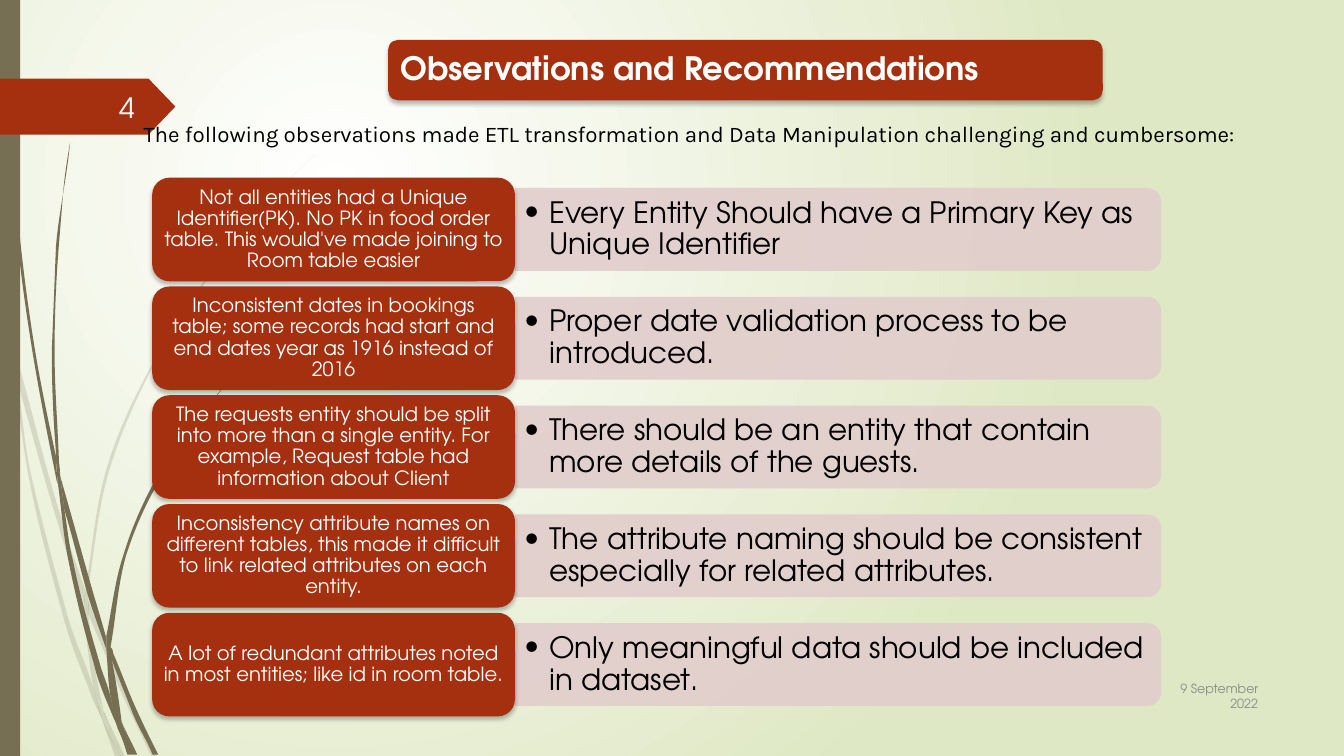
import math

import pptx
import pptx.dml.color
import pptx.enum.shapes
import pptx.enum.text
import pptx.oxml
import pptx.oxml.ns
import pptx.util

Pt = pptx.util.Pt
RGB = pptx.dml.color.RGBColor
SHAPE = pptx.enum.shapes.MSO_SHAPE
ALIGN = pptx.enum.text.PP_ALIGN
ANCHOR = pptx.enum.text.MSO_ANCHOR
qn = pptx.oxml.ns.qn
NS = pptx.oxml.ns.nsdecls("a", "p")

RUST = RGB(0xA5, 0x30, 0x10)
ROSE = RGB(0xE1, 0xCD, 0xCC)
OLIVE = RGB(0x76, 0x6F, 0x54)
WHITE = RGB(0xFF, 0xFF, 0xFF)
BLACK = RGB(0, 0, 0)
GREY = RGB(0x8C, 0x8C, 0x8C)
HEAD_FONT, INTRO_FONT = "TeX Gyre Adventor", "Karla"

# Content
TITLE = "Observations and Recommendations"
INTRO = ("The following observations made ETL transformation and "
         "Data Manipulation challenging and cumbersome:")
DATE, NUMBER = "9 September 2022", "4"
ROWS = [
    ("Not all entities had a Unique Identifier(PK). No PK in food order table. "
     "This would've made joining to Room table easier",
     "Every Entity Should have a Primary Key as Unique Identifier"),
    ("Inconsistent dates in bookings table; some records had start and end dates "
     "year as 1916 instead of 2016",
     "Proper date validation process to be introduced."),
    ("The requests entity should be split into more than a single entity. "
     "For example, Request table had information about Client",
     "There should be an entity that contain more details of the guests."),
    ("Inconsistency attribute names on different tables, this made it difficult "
     "to link related attributes on each entity.",
     "The attribute naming should be consistent especially for related attributes."),
    ("A lot of redundant attributes noted in most entities; like id in room table.",
     "Only meaningful data should be included in dataset."),
]

# Grass blades: the points along one edge, then back along the other
PALE_BLADES = [
    ([(7.9, 252), (6.5, 231.8), (0, 203)], [(0, 215.3), (7.2, 247.7), (7.9, 252)]),
    ([(12.2, 270.7), (41.8, 375.8), (60.5, 431.3)],
     [(61.2, 421.9), (44.6, 374.4), (10.1, 248.4)]),
    ([(63.4, 429.1), (66.2, 437), (91.4, 498.2), (111.6, 540)],
     [(108, 540), (88.6, 499.7), (63.4, 439.2)]),
    ([(75.6, 511.9), (89.3, 540)], [(85.7, 540), (75.6, 511.9)]),
    ([(7.9, 252), (12.2, 270.7), (22.3, 337.7), (50.4, 445.7), (67, 491.8), (72.7, 514.1)],
     [(72.7, 514.1), (66.2, 499), (46.8, 447.1), (20.2, 338.4), (7.9, 252)]),
    ([(60.5, 431.3), (63.4, 439.2), (65.5, 465.1), (74.2, 508.3), (75.6, 511.9)],
     [(75.6, 511.9), (67, 491.8), (62.6, 465.1), (60.5, 431.3)]),
    ([(224.6, 110.2), (193, 142.6), (164.9, 176.4), (115.2, 251.3), (79.2, 332.6),
      (63.4, 420.5), (63.4, 429.1)],
     [(61.2, 421.9), (77, 331.9), (113.8, 250.6), (164.2, 175.7), (193, 141.8),
      (224.6, 110.2)]),
    ([(72.7, 514.1), (82.1, 540)], [(85.7, 540), (72.7, 514.1)]),
    ([(61.2, 421.9), (63.4, 429.1), (63.4, 439.2)], [(63.4, 437.8), (60.5, 431.3)]),
    ([(67, 491.8), (72.7, 514.1), (85.7, 540)], [(75.6, 511.9), (69.1, 498.2)]),
]
DARK_BLADES = [
    ([(2.2, 0), (2.9, 34.6), (5, 79.2), (12.2, 167.8), (23.8, 255.6), (41, 346.3)],
     [(39.6, 326.2), (25.9, 255.6), (13.7, 167), (5.8, 78.5), (3.6, 34.6), (2.9, 0)]),
    ([(43.2, 339.8), (67, 424.8), (76.3, 455.8)],
     [(76.3, 464.4), (63.4, 426.2), (46.1, 363.6)]),
    ([(79.2, 461.5), (81.4, 467.3), (97.9, 508.3), (113, 539.3)],
     [(109.4, 539.3), (95, 509.8), (79.9, 472.3)]),
    ([(41, 343.4), (46.1, 363.6), (51.8, 400.3), (70.6, 473), (79.2, 497.5), (84.2, 519.8)],
     [(84.2, 519.8), (79.9, 509.8), (67, 474.5), (49, 401), (41, 343.4)]),
    ([(50.4, 101.5), (44.6, 139), (40.3, 176.4), (37.4, 251.3), (39.6, 323.3), (43.2, 339.8)],
     [(43.2, 339.8), (41.8, 326.2), (38.9, 251.3), (41.8, 176.4), (45.4, 139), (50.4, 101.5)]),
    ([(87.8, 517.7), (97.9, 539.3)], [(95.8, 539.3), (87.8, 517.7)]),
    ([(39.6, 323.3), (43.2, 339.8), (46.1, 363.6)], [(41, 343.4), (39.6, 326.2)]),
    ([(187.2, 247.7), (166.3, 268.6), (146.9, 291.6), (112.3, 341.3), (87.8, 396.7),
      (76.3, 454.3)],
     [(79.2, 461.5), (90, 397.4), (113.8, 342.7), (147.6, 292.3), (166.3, 269.3),
      (187.9, 247.7)]),
    ([(84.2, 519.8), (91.4, 539.3)], [(94.3, 539.3), (84.2, 519.8)]),
    ([(76.3, 464.4), (79.9, 472.3), (87.1, 515.5), (87.8, 517.7)],
     [(87.8, 517.7), (79.2, 497.5), (76.3, 464.4)]),
    ([(76.3, 454.3), (79.2, 461.5), (79.9, 472.3)], [(78.5, 468.7), (76.3, 464.4)]),
    ([(79.2, 497.5), (84.2, 519.8), (93.6, 539.3)], [(95.8, 539.3), (83.5, 508.3)]),
]

# Layout of the rows
ROW_TOP, ROW_STEP = 126.9, 77.7
BOX_LEFT, BOX_W, BOX_H = 108.7, 259.2, 74
BAR_W, BAR_H = 461.5, 59.2


def apply(obj, values):
    for name, value in values.items():
        setattr(obj, name, value)


def write(sp, text, size, color, font=HEAD_FONT, bold=False, inset=(7.2, 3.6),
          para=None, anchor=ANCHOR.MIDDLE):
    x, y = map(Pt, inset)
    tf = sp.text_frame
    apply(tf, {"word_wrap": True, "auto_size": pptx.enum.text.MSO_AUTO_SIZE.NONE,
               "vertical_anchor": anchor, "margin_left": x, "margin_right": x,
               "margin_top": y, "margin_bottom": y})
    p = tf.paragraphs[0]
    apply(p, {"alignment": ALIGN.LEFT, **(para or {})})
    r = p.add_run()
    r.text = text
    apply(r.font, {"name": font, "size": Pt(size), "bold": bold})
    r.font.color.rgb = color
    return p


def paint(sp, color, opacity=100):
    sp.shadow.inherit = False
    sp.fill.solid()
    sp.fill.fore_color.rgb = color
    sp.line.fill.background()
    if opacity < 100:
        clr = sp._element.spPr.find(qn("a:solidFill"))[0]
        clr.append(pptx.oxml.parse_xml(f'<a:alpha {NS} val="{opacity * 1000}"/>'))
    return sp


def add_shape(kind, box, color, opacity=100):
    return paint(s.shapes.add_shape(kind, *map(Pt, box)), color, opacity)


def add_text(box, *args, **kwargs):
    return write(s.shapes.add_textbox(*map(Pt, box)), *args, **kwargs)


def drop_shadow(sp):
    sp._element.spPr.find(qn("a:effectLst")).append(pptx.oxml.parse_xml(
        f'<a:outerShdw {NS} blurRad="{Pt(3)}" dist="{Pt(2)}" dir="5400000" '
        'rotWithShape="0"><a:srgbClr val="000000"><a:alpha val="25000"/>'
        '</a:srgbClr></a:outerShdw>'))
    return sp


def bezier(points):
    """Two control points and an end for each step of a smooth run."""
    ends = [points[0], *points, points[-1]]
    for a, b, c, d in zip(ends, ends[1:], ends[2:], ends[3:]):
        third = math.dist(b, c) / 3
        k1, k2 = third / (math.dist(a, c) or 1), third / (math.dist(b, d) or 1)
        yield from ([q + (w - u) * k1 for u, q, w in zip(a, b, c)],
                    [q - (w - u) * k2 for u, q, w in zip(b, c, d)], c)


def add_blade(out, back, opacity):
    outline = [*bezier(out), *bezier([out[-1], back[0]]), *bezier(back)]
    fb = s.shapes.build_freeform(*out[0], scale=Pt(1) / 1)
    fb.add_line_segments(outline, close=True)
    sp = paint(fb.convert_to_shape(), OLIVE, opacity)
    lines = list(sp._element.iter(qn("a:lnTo")))
    for trio in zip(lines[::3], lines[1::3], lines[2::3]):
        curve = pptx.oxml.parse_xml(f"<a:cubicBezTo {NS}/>")
        trio[0].addprevious(curve)
        for line in trio:
            curve.append(line[0])
            line.getparent().remove(line)


prs = pptx.Presentation()
prs.slide_width, prs.slide_height = Pt(960), Pt(540)
s = prs.slides.add_slide(prs.slide_layouts[5])

# Background: radial white to pale green
s._element.cSld.insert(0, pptx.oxml.parse_xml(
    f'<p:bg {NS}><p:bgPr><a:gradFill rotWithShape="1"><a:gsLst>'
    '<a:gs pos="0"><a:srgbClr val="FFFFFF"/></a:gs>'
    '<a:gs pos="100000"><a:srgbClr val="DFE8C4"/></a:gs></a:gsLst>'
    '<a:path path="circle"><a:fillToRect l="50000" t="50000" r="100000" b="100000"/>'
    '</a:path></a:gradFill><a:effectLst/></p:bgPr></p:bg>'))

# Left decoration and number tag
for blades, opacity in ((PALE_BLADES, 20), (DARK_BLADES, 100)):
    for out, back in blades:
        add_blade(out, back, opacity)
add_shape(SHAPE.RECTANGLE, (0, 0, 14.4, 540), OLIVE)
add_shape(SHAPE.PENTAGON, (0, 56.2, 125.3, 39.9), RUST).adjustments[0] = 0.48

# Title banner
drop_shadow(add_shape(SHAPE.ROUNDED_RECTANGLE, (277.2, 28.5, 510.5, 43.2), RUST))
title = s.shapes.title
apply(title, dict(zip(("left", "top", "width", "height"),
                      map(Pt, (278.8, 30.4, 506.2, 38.9)))))
write(title, TITLE, 23, WHITE, bold=True, inset=(7.2, 7.2), para={"line_spacing": 0.9})
s.shapes._spTree.append(title._element)

# Observation boxes with recommendation bars
for i, (observation, recommendation) in enumerate(ROWS):
    top = ROW_TOP + i * ROW_STEP
    mid, bar_left = top + BOX_H / 2, BOX_LEFT + BOX_W
    bar = add_shape(SHAPE.ROUND_2_SAME_RECTANGLE,
                    (bar_left + (BAR_W - BAR_H) / 2, mid - BAR_W / 2, BAR_H, BAR_W),
                    ROSE, 90)
    bar.rotation = 90
    p = add_text((bar_left, mid - 26.6, BAR_W - 2.9, 53.2), recommendation, 21, BLACK,
                 inset=(6.5, 2.9), para={"line_spacing": 0.9})
    pPr = p._p.get_or_add_pPr()
    pPr.set("marL", str(Pt(18)))
    pPr.set("indent", str(-Pt(18)))
    for tag in (f'buFont {NS} typeface="{HEAD_FONT}"', f'buChar {NS} char="•"'):
        pPr.append(pptx.oxml.parse_xml(f"<a:{tag}/>"))
    box = drop_shadow(add_shape(SHAPE.ROUNDED_RECTANGLE,
                                (BOX_LEFT, top, BOX_W, BOX_H), RUST))
    write(box, observation, 14, WHITE, inset=(4.3, 2.2),
          para={"alignment": ALIGN.CENTER, "line_spacing": 0.9})

# Introduction, date and slide number
add_text((95.5, 82.1, 803, 26.6), INTRO, 16, BLACK, INTRO_FONT, anchor=ANCHOR.TOP)
add_text((815.8, 482.4, 90, 29.5), DATE, 9, GREY, para={"alignment": ALIGN.RIGHT})
add_text((42, 61.9, 61.2, 28.8), NUMBER, 20, WHITE, para={"alignment": ALIGN.RIGHT})

prs.save("out.pptx")
